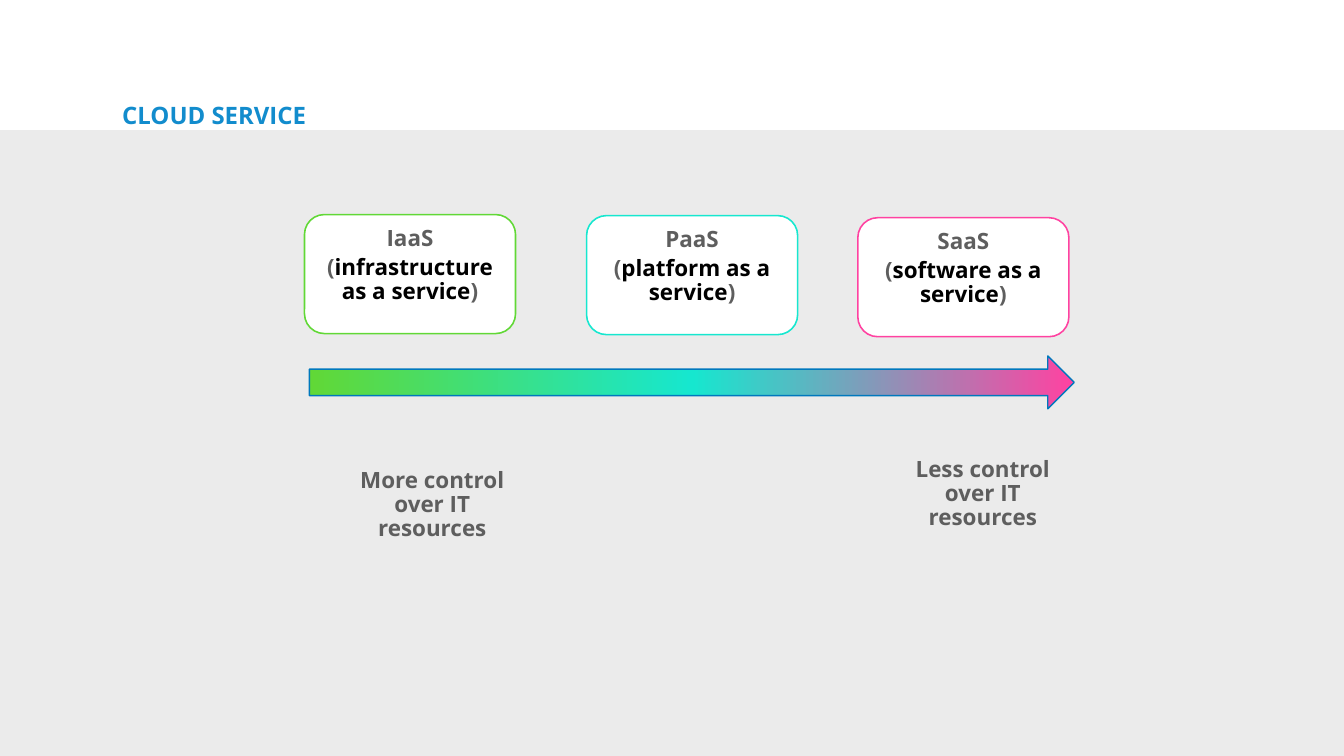
from dataclasses import dataclass

from lxml import etree
from pptx import Presentation
from pptx.dml.color import RGBColor
from pptx.enum import shapes, text
from pptx.oxml import ns
from pptx.util import Pt


@dataclass(frozen=True)
class Theme:
    font: str = "Open Sans"
    head: float = 34.2
    body: float = 32
    blue: str = "128CCD"
    edge: str = "0078BD"
    gray: str = "5E5E5E"
    black: str = "000000"
    white: str = "FFFFFF"
    panel: str = "EBEBEB"
    green: str = "61D836"
    aqua: str = "16E7CF"
    pink: str = "FF42A1"


THEME = Theme()
SHAPE = shapes.MSO_SHAPE
ANCHOR = text.MSO_ANCHOR
CENTER = text.PP_ALIGN.CENTER


def rgb(code):
    return RGBColor.from_string(code)


def add_run(para, words, color, size=THEME.body):
    run = para.add_run()
    run.text = words
    font = run.font
    font.name, font.size, font.bold = THEME.font, Pt(size), True
    font.color.rgb = rgb(color)


def set_frame(frame, side, edge, anchor=ANCHOR.TOP):
    frame.word_wrap = True
    frame.vertical_anchor = anchor
    frame.margin_left = frame.margin_right = Pt(side)
    frame.margin_top = frame.margin_bottom = Pt(edge)


def add_shape(slide, kind, box, fill=None, line=None, width=0):
    shape = slide.shapes.add_shape(kind, *map(Pt, box))
    shape.shadow.inherit = False
    if fill:
        shape.fill.solid()
        shape.fill.fore_color.rgb = rgb(fill)
    if line:
        shape.line.color.rgb = rgb(line)
        shape.line.width = Pt(width)
    else:
        shape.line.fill.background()
    return shape


def add_title(slide, box, words):
    frame = slide.shapes.add_textbox(*map(Pt, box)).text_frame
    set_frame(frame, 4, 4, ANCHOR.MIDDLE)
    para = frame.paragraphs[0]
    para.line_spacing = 0.8
    add_run(para, words, THEME.blue, THEME.head)


def add_card(slide, box, name, words, color):
    card = add_shape(slide, SHAPE.ROUNDED_RECTANGLE, box, THEME.white, color, 2.25)
    frame = card.text_frame
    set_frame(frame, 19.2, 9.6)
    top, para = frame.paragraphs[0], frame.add_paragraph()
    for item in (top, para):
        item.alignment, item.line_spacing = CENTER, 0.9
    add_run(top, name, THEME.gray)
    para.space_before = Pt(6.4)
    add_run(para, "(", THEME.gray)
    add_run(para, words, THEME.black)
    add_run(para, ")", THEME.gray)


def add_note(slide, box, lines):
    frame = slide.shapes.add_textbox(*map(Pt, box)).text_frame
    set_frame(frame, 7.2, 3.6)
    para = frame.paragraphs[0]
    para.alignment, para.line_spacing = CENTER, 0.9
    for i, line in enumerate(lines):
        if i:
            para.add_line_break()
        add_run(para, line, THEME.gray)


def add_arrow(slide, box, colors):
    """Draw an arrow shaded from left to right through evenly spaced colors."""
    arrow = add_shape(slide, SHAPE.RIGHT_ARROW, box, line=THEME.edge, width=2)
    arrow.fill.gradient()
    arrow.fill.gradient_angle = 0
    stops = arrow.element.spPr.find(".//" + ns.qn("a:gsLst"))
    for stop in list(stops):
        stops.remove(stop)
    for i, color in enumerate(colors):
        spot = round(100000 * i / (len(colors) - 1))
        stop = etree.SubElement(stops, ns.qn("a:gs"), pos=str(spot))
        etree.SubElement(stop, ns.qn("a:srgbClr"), val=color)


def main():
    deck = Presentation()
    deck.slide_width, deck.slide_height = Pt(1920), Pt(1080)
    slide = deck.slides.add_slide(deck.slide_layouts[6])

    add_shape(slide, SHAPE.RECTANGLE, (0, 186, 1920, 894), THEME.panel)
    add_title(slide, (170.5, 147.5, 1158, 40), "CLOUD SERVICE")

    cards = [
        (435, 306.5, "IaaS", "infrastructure as a service", THEME.green),
        (838, 308, "PaaS", "platform as a service", THEME.aqua),
        (1225.5, 311, "SaaS", "software as a service", THEME.pink),
    ]
    for left, top, name, words, color in cards:
        add_card(slide, (left, top, 301.5, 170), name, words, color)

    add_arrow(slide, (442, 508.5, 1092.5, 75.5), [card[-1] for card in cards])

    notes = [(497.5, 666, "More control"), (1284, 651, "Less control")]
    for left, top, words in notes:
        add_note(slide, (left, top, 240, 124), (words, "over IT resources"))

    deck.save("out.pptx")


if __name__ == "__main__":
    main()
